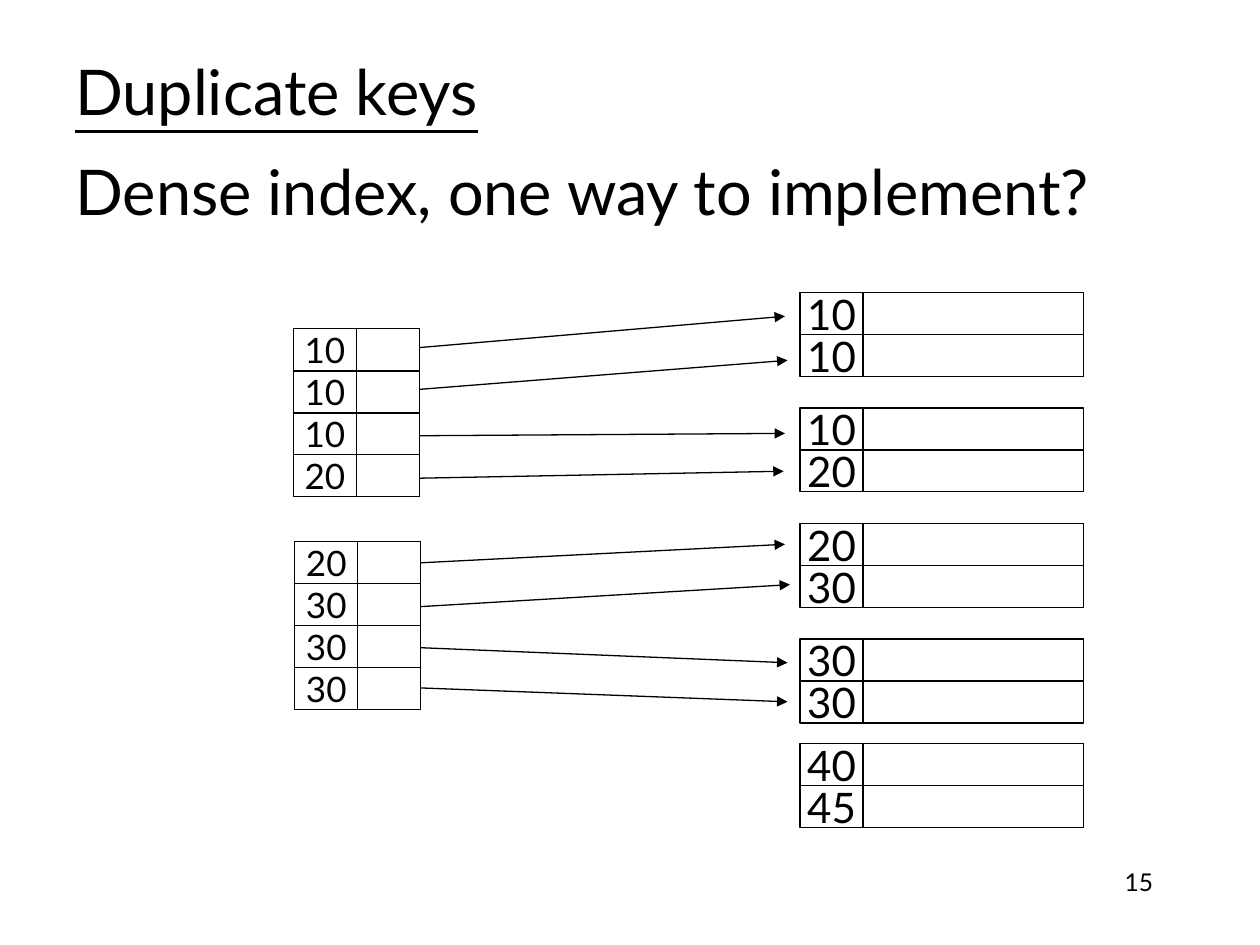
from lxml import etree
from pptx import Presentation
from pptx.dml.color import RGBColor
from pptx.enum.shapes import MSO_CONNECTOR as Connector, MSO_SHAPE as Shape
from pptx.enum.text import MSO_ANCHOR as Anchor, PP_ALIGN as Align
from pptx.oxml.ns import qn
from pptx.util import Inches, Pt

FONT = "Lato"
BLACK, WHITE = "000000", "FFFFFF"
LINE_WIDTH = 0.75

ROW = 1 / 3
KEY_WIDTH = 0.5

# Index blocks: left, top, keys
INDEX_BLOCKS = [
    (2.33, 2.61, ["10", "10", "10", "20"]),
    (2.34, 4.3, ["20", "30", "30", "30"]),
]

# Data blocks: evenly spaced, apart from the last one
DATA_LEFT, DATA_TOP, DATA_STEP = 6.35, 2.32, 0.917
DATA_KEYS = [["10", "10"], ["10", "20"], ["20", "30"], ["30", "30"]]
LAST_TOP, LAST_KEYS = 5.9, ["40", "45"]

# Pointers start inside the index blocks: start y, end x, end y
POINTER_LEFT = 3.08
POINTERS = [
    (2.78, 6.23, 2.51), (3.11, 6.25, 2.86),
    (3.46, 6.23, 3.44), (3.8, 6.22, 3.74),
    (4.48, 6.23, 4.32), (4.83, 6.27, 4.64),
    (5.13, 6.25, 5.26), (5.45, 6.25, 5.57),
]


def color(hex_text):
    return RGBColor.from_string(hex_text)


def set_text(shape, text, size, align, anchor, wrap=True, underline=None):
    frame = shape.text_frame
    frame.text = text
    frame.word_wrap = wrap
    frame.vertical_anchor = anchor
    paragraph = frame.paragraphs[0]
    paragraph.alignment = align
    font = paragraph.runs[0].font
    font.name, font.size, font.underline = FONT, Pt(size), underline
    font.color.rgb = color(BLACK)


def add_text(slide, box, text, size, align=Align.LEFT, anchor=Anchor.MIDDLE,
             underline=None):
    shape = slide.shapes.add_textbox(*map(Inches, box))
    set_text(shape, text, size, align, anchor, underline=underline)


def add_cell(shapes, left, top, width, text="", size=20):
    cell = shapes.add_shape(
        Shape.RECTANGLE, *map(Inches, (left, top, width, ROW)))
    cell.shadow.inherit = False
    cell.fill.solid()
    cell.fill.fore_color.rgb = color(WHITE)
    cell.line.color.rgb = color(BLACK)
    cell.line.width = Pt(LINE_WIDTH)
    if text:
        set_text(cell, text, size, Align.CENTER, Anchor.MIDDLE, wrap=False)


def add_block(slide, left, top, keys, value_width, size):
    """Stack rows of a key cell and an empty value cell in one group."""
    group = slide.shapes.add_group_shape()
    for row, key in enumerate(keys):
        row_top = top + row * ROW
        add_cell(group.shapes, left, row_top, KEY_WIDTH, key, size)
        add_cell(group.shapes, left + KEY_WIDTH, row_top, value_width)


def add_pointer(slide, start_y, end_x, end_y):
    pointer = slide.shapes.add_connector(
        Connector.STRAIGHT,
        *map(Inches, (POINTER_LEFT, start_y, end_x, end_y)))
    pointer.line.color.rgb = color(BLACK)
    pointer.line.width = Pt(LINE_WIDTH)
    etree.SubElement(pointer.line._get_or_add_ln(), qn("a:tailEnd"),
                     type="triangle")
    etree.SubElement(pointer._element.spPr, qn("a:effectLst"))


def main():
    presentation = Presentation()
    presentation.slide_width = Inches(10)
    presentation.slide_height = Inches(7.5)
    slide = presentation.slides.add_slide(presentation.slide_layouts[6])

    # Headings and page number
    add_text(slide, (0.5, 0.33, 3.67, 0.77), "Duplicate keys", 36,
             underline=True)
    add_text(slide, (0.5, 1, 8.67, 1.02),
             "Dense index, one way to implement?", 36)
    add_text(slide, (7.17, 6.83, 2.08, 0.5), "15", 14, Align.RIGHT, Anchor.TOP)

    # Pointers lie behind the blocks
    for pointer in POINTERS:
        add_pointer(slide, *pointer)

    # Data blocks
    for number, keys in enumerate(DATA_KEYS):
        top = DATA_TOP + number * DATA_STEP
        add_block(slide, DATA_LEFT, top, keys, 1.75, 24)
    add_block(slide, DATA_LEFT, LAST_TOP, LAST_KEYS, 1.75, 24)

    # Index blocks
    for left, top, keys in INDEX_BLOCKS:
        add_block(slide, left, top, keys, 0.5, 20)

    presentation.save("out.pptx")


if __name__ == "__main__":
    main()
